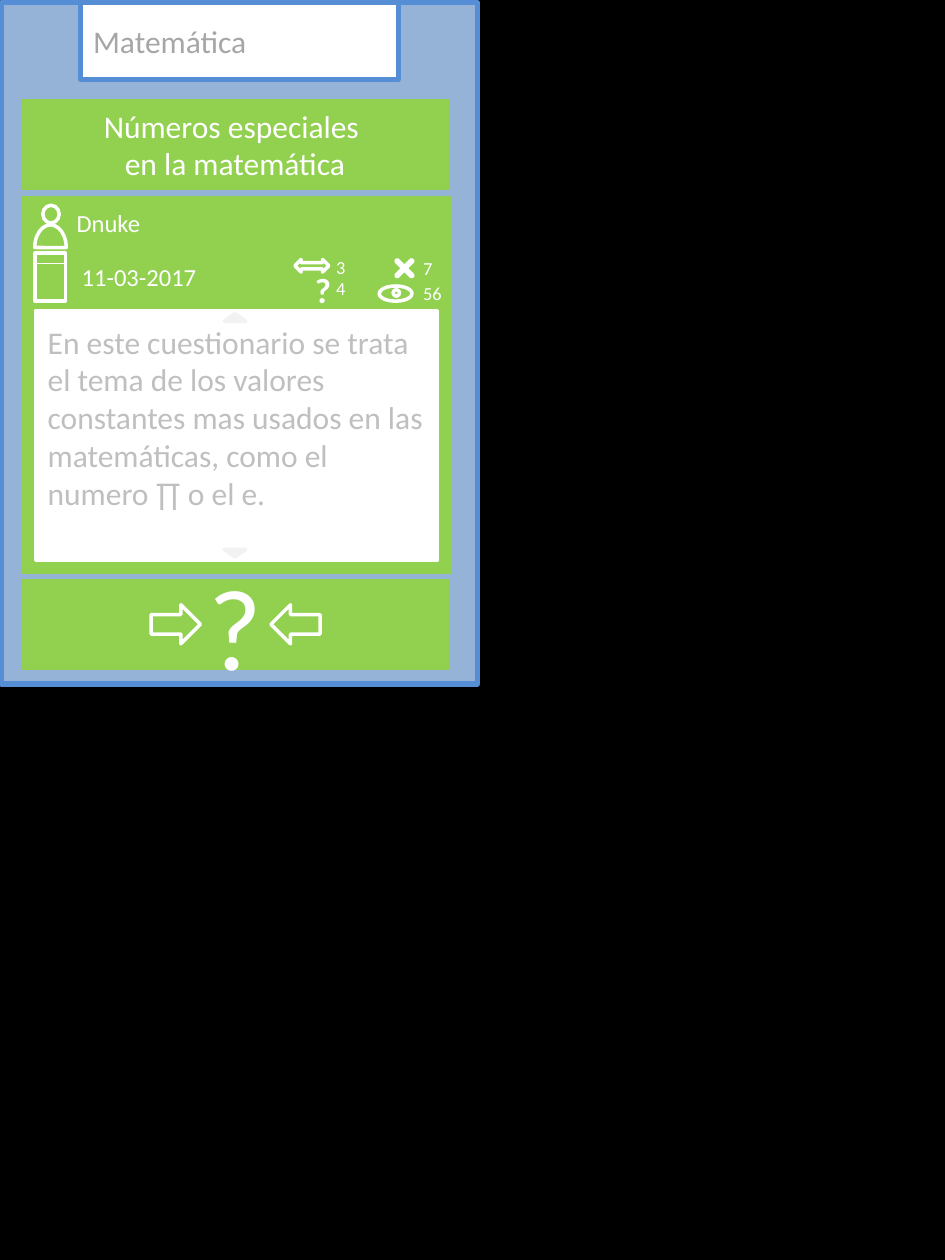
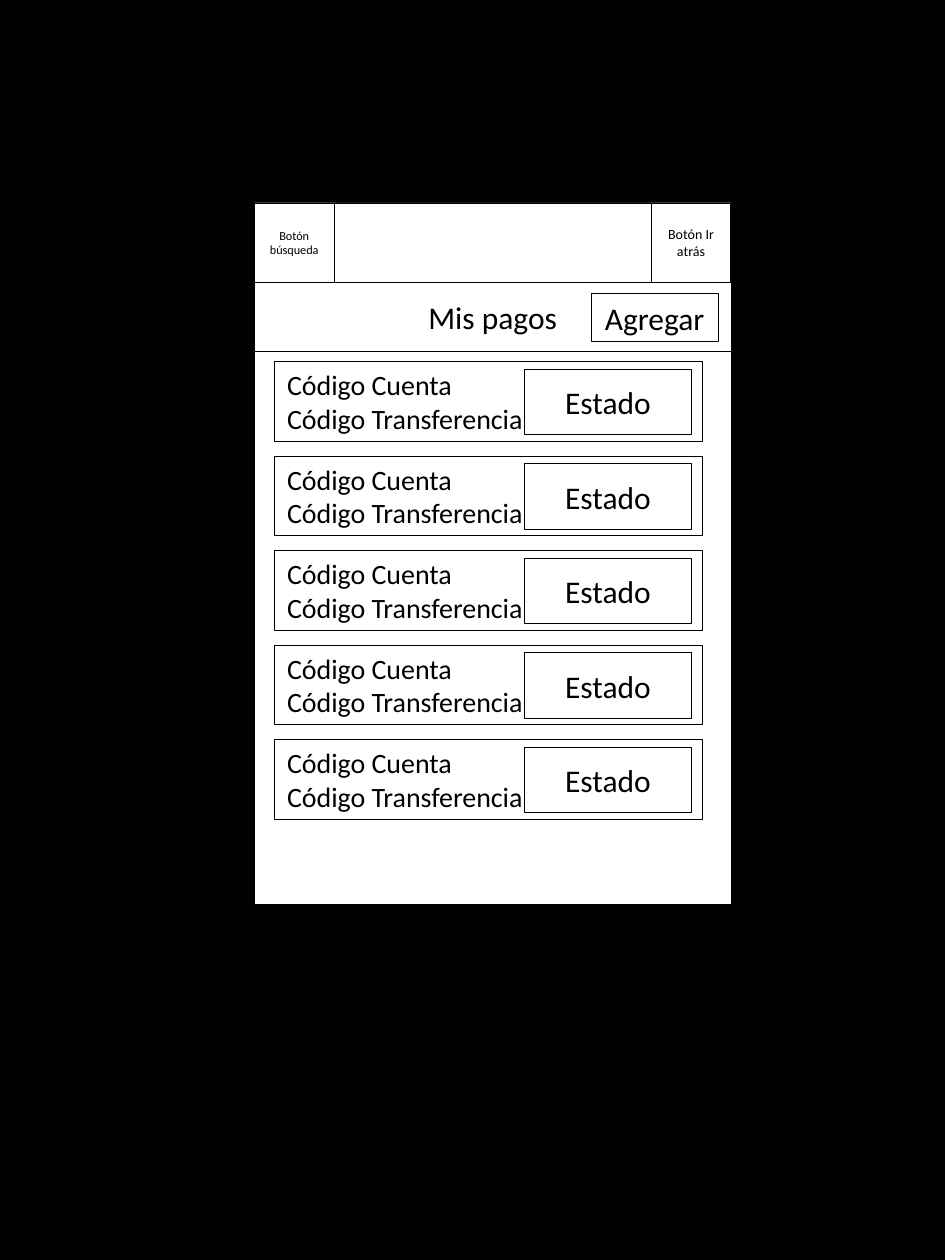
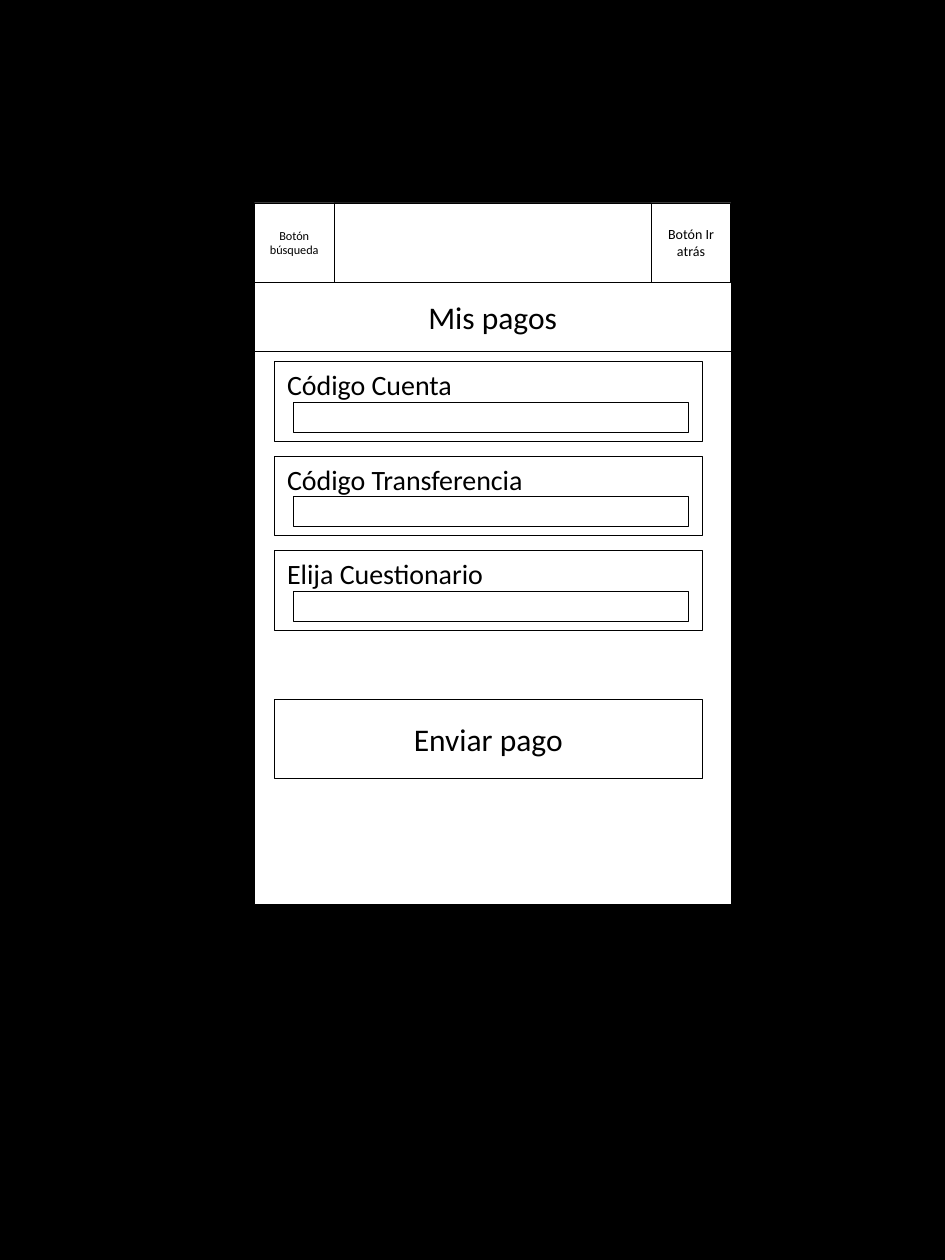
"""Build three phone-screen mockups: a quiz card, a payment list and a payment form."""
from lxml.etree import SubElement
from pptx import Presentation
from pptx.dml.color import RGBColor
from pptx.enum.shapes import MSO_CONNECTOR, MSO_SHAPE
from pptx.enum.text import MSO_ANCHOR, MSO_AUTO_SIZE, PP_ALIGN
from pptx.oxml.ns import qn
from pptx.util import Inches, Pt

COLORS = {
    "black": "000000", "white": "FFFFFF", "green": "92D050",
    "sky": "95B3D7", "blue": "558ED5", "navy": "4F81BD",
    "gray": "A6A6A6", "silver": "BFBFBF", "mist": "F2F2F2",
}
FONT = "Calibri"
LEFT, CENTER = PP_ALIGN.LEFT, PP_ALIGN.CENTER


def rgb(name):
    return RGBColor.from_string(COLORS[name])


class Mockup:
    """Holds the presentation, its style and the current slide."""

    def __init__(self):
        self.prs = Presentation()
        self.prs.slide_width, self.prs.slide_height = Inches(7.5), Inches(10)
        self.s = None

    def slide(self):
        self.s = self.prs.slides.add_slide(self.prs.slide_layouts[6])
        fill = self.s.background.fill
        fill.solid()
        fill.fore_color.rgb = rgb("black")

    def add_lines(self, tf, lines, size, color, align=LEFT, bold=False):
        tf.word_wrap = True
        for i, line in enumerate(lines):
            p = tf.add_paragraph() if i else tf.paragraphs[0]
            p.alignment = align
            r = p.add_run()
            r.text = line
            r.font.name, r.font.size, r.font.bold = FONT, Pt(size), bold
            r.font.color.rgb = rgb(color)

    def shape(self, kind, x, y, w, h, fill, line, width, rotation=0, adj=()):
        sp = self.s.shapes.add_shape(kind, Inches(x), Inches(y), Inches(w), Inches(h))
        sp.shadow.inherit = False
        sp.fill.solid()
        sp.fill.fore_color.rgb = rgb(fill)
        sp.line.color.rgb = rgb(line)
        sp.line.width = Pt(width)
        sp.rotation = rotation
        for i, value in enumerate(adj):
            sp.adjustments[i] = value
        return sp

    def box(self, x, y, w, h, lines=(), size=18, color="black", align=CENTER,
            fill="white", line="black", width=0.25):
        sp = self.shape(MSO_SHAPE.RECTANGLE, x, y, w, h, fill, line, width)
        tf = sp.text_frame
        tf.vertical_anchor = MSO_ANCHOR.MIDDLE
        self.add_lines(tf, lines, size, color, align)
        return sp

    def panel(self, x, y, w, h, lines=(), size=18):
        self.box(x, y, w, h, lines, size, "white", fill="green", line="green")

    def icon(self, kind, x, y, w, h, rotation=0, adj=(), fill="green", line="white"):
        self.shape(kind, x, y, w, h, fill, line, 2, rotation, adj)

    def text(self, x, y, w, h, lines, size, color="black", bold=False):
        sp = self.s.shapes.add_textbox(Inches(x), Inches(y), Inches(w), Inches(h))
        self.add_lines(sp.text_frame, lines, size, color, bold=bold)
        sp.text_frame.auto_size = MSO_AUTO_SIZE.SHAPE_TO_FIT_TEXT

    def rule(self, x1, y1, x2, y2, color, width):
        c = self.s.shapes.add_connector(
            MSO_CONNECTOR.STRAIGHT, Inches(x1), Inches(y1), Inches(x2), Inches(y2))
        c.line.color.rgb = rgb(color)
        c.line.width = Pt(width)
        SubElement(c._element.spPr, qn("a:effectLst"))

    def payment_screen(self):
        self.slide()
        self.box(2.02, 1.61, 3.78, 0.63)
        self.box(2.02, 2.28, 3.78, 4.9)
        self.box(2.02, 2.24, 3.78, 0.55, ["Mis pagos"])
        self.box(2.02, 1.61, 0.63, 0.63, ["Botón", "búsqueda"], 7)
        self.box(5.17, 1.61, 0.63, 0.63, ["Botón Ir atrás"], 8)

    def card(self, row, lines, text_height):
        y = 2.87 + 0.75 * row
        self.box(2.18, y, 3.39, 0.63)
        self.text(2.18, y, 2.52, text_height, lines, 16)
        return y


def quiz_card(m):
    m.slide()
    m.box(0.01, 0.02, 3.78, 5.41, fill="sky", line="blue", width=3)
    m.box(0.64, 0.02, 2.52, 0.61, ["Matemática"], color="gray", align=LEFT,
          line="blue", width=3)
    m.panel(0.17, 0.79, 3.39, 0.71, ["Números especiales ", "en la matemática"])
    m.panel(0.18, 1.56, 3.39, 2.99)

    m.icon(MSO_SHAPE.OVAL, 0.34, 1.63, 0.13, 0.14)
    m.icon(MSO_SHAPE.PIE, 0.22, 1.84, 0.36, 0.25, 90, (54.09, 162))
    m.text(0.51, 1.6, 0.74, 0.34, ["Dnuke"], 14, "white")
    m.icon(MSO_SHAPE.RECTANGLE, 0.28, 2.01, 0.24, 0.38)
    m.rule(0.29, 2.09, 0.53, 2.09, "white", 0.75)
    m.text(0.55, 2.03, 1.12, 0.34, ["11-03-2017"], 14, "white")

    m.icon(MSO_SHAPE.MOON, 3.11, 2.17, 0.06, 0.26, 90, (0,))
    m.icon(MSO_SHAPE.MOON, 3.11, 2.23, 0.06, 0.26, 270, (0,))
    m.icon(MSO_SHAPE.FLOWCHART_CONNECTOR, 3.12, 2.3, 0.05, 0.05)
    m.icon(MSO_SHAPE.MATH_MULTIPLY, 3.09, 2.01, 0.24, 0.24, adj=(0.07,), fill="navy")
    m.icon(MSO_SHAPE.LEFT_RIGHT_ARROW, 2.34, 2.06, 0.27, 0.1)
    m.text(2.4, 2.08, 0.49, 0.44, ["?"], 20, "white", bold=True)
    for x, y, count in ((2.57, 1.98, "3"), (2.57, 2.15, "4"),
                        (3.26, 1.99, "7"), (3.26, 2.19, "56")):
        m.text(x, y, 0.49, 0.28, [count], 10.5, "white")

    summary = m.box(0.28, 2.47, 3.19, 1.98, [
        "En este cuestionario se trata el tema de los valores constantes mas "
        "usados en las matemáticas, como el numero ∏ o el e."],
        color="silver", align=LEFT, line="white", width=2)
    summary.text_frame.margin_bottom = Inches(0.35)
    for y, rotation in ((2.49, 0), (4.36, 180)):
        m.icon(MSO_SHAPE.ISOSCELES_TRIANGLE, 1.78, y, 0.17, 0.06, rotation,
               fill="mist", line="mist")

    m.panel(0.17, 4.6, 3.39, 0.71, ["?"], 66)
    for x, rotation in ((2.15, 180), (1.2, 0)):
        m.icon(MSO_SHAPE.RIGHT_ARROW, x, 4.8, 0.39, 0.31, rotation)


def payment_list(m):
    m.payment_screen()
    m.box(4.69, 2.33, 1.01, 0.38, ["Agregar"])
    for row in range(5):
        y = m.card(row, ["Código Cuenta", "Código Transferencia"], 0.64)
        m.box(4.16, y + 0.06, 1.33, 0.52, ["Estado"])


def payment_form(m):
    m.payment_screen()
    fields = ("Código Cuenta", "Código Transferencia", "Elija Cuestionario")
    for row, label in enumerate(fields):
        y = m.card(row, [label], 0.37)
        m.box(2.33, y + 0.32, 3.13, 0.24)
    m.box(2.18, 5.55, 3.39, 0.63, ["Enviar pago"])


def main():
    m = Mockup()
    quiz_card(m)
    payment_list(m)
    payment_form(m)
    m.prs.save("out.pptx")


if __name__ == "__main__":
    main()
